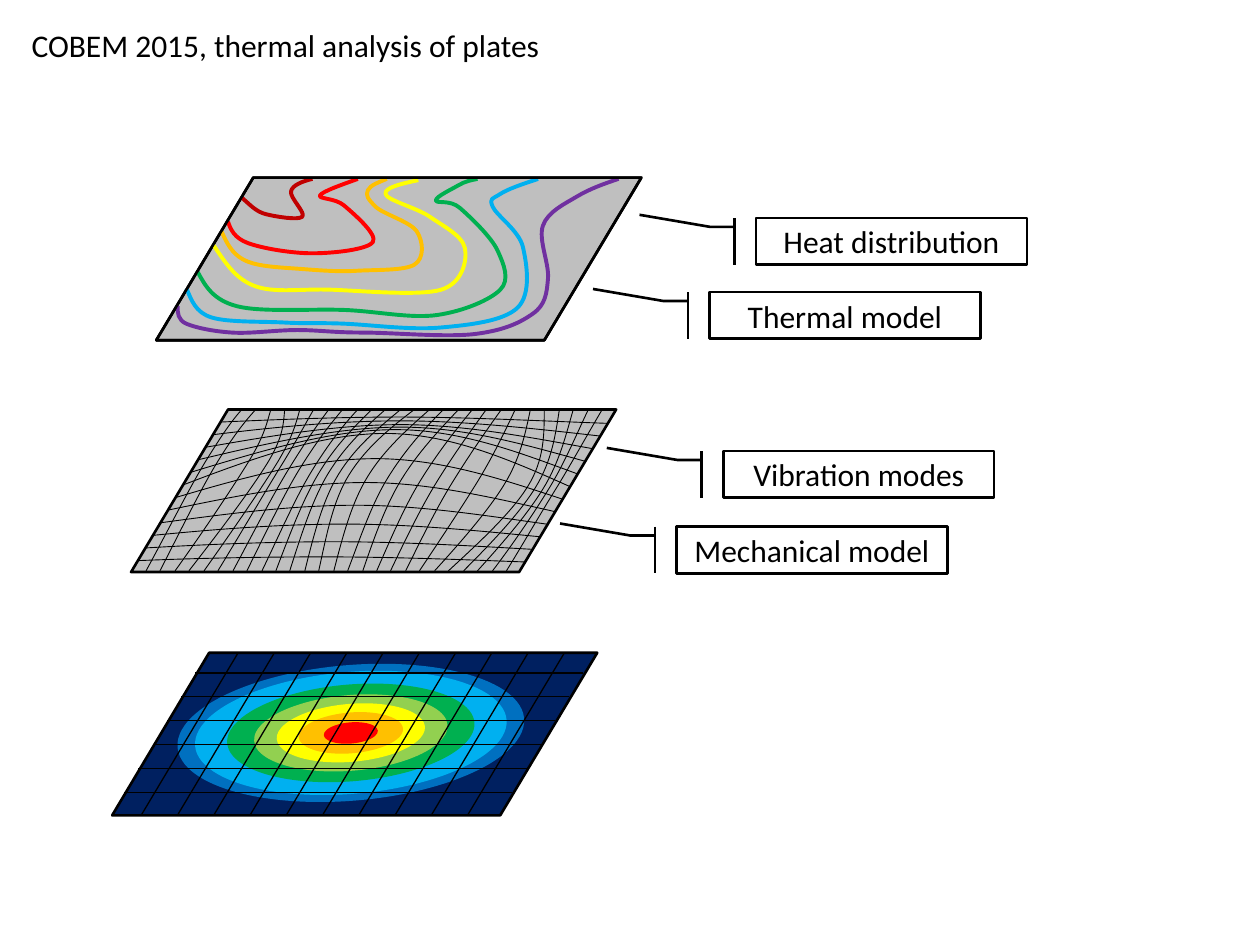
from lxml import etree
from pptx import Presentation
from pptx import util as u
from pptx.dml.color import RGBColor
from pptx.enum import shapes, text
from pptx.oxml.ns import qn

THEME = {
    "font": "Calibri", "size": 18, "ink": "000000", "plate": "BFBFBF", "cold": "002060",
    "outline": 1.5, "contour": 2.25, "grid": 0.75, "mesh": 0.5,
}
PLATE_W, PLATE_H, SLANT = 277.2, 92.9, 55.4
CURVE_UNIT = u.Pt(0.72)  # curve points below are whole multiples of this


def add_part(group, preset, box, fill=None, line=None):
    """Add a preset shape at (left, top, width, height) in points."""
    part = group.shapes.add_shape(preset, *[u.Pt(v) for v in box])
    part.shadow.inherit = False
    if fill:
        part.fill.solid()
        part.fill.fore_color.rgb = RGBColor.from_string(fill)
    else:
        part.fill.background()
    if line:
        part.line.color.rgb = RGBColor.from_string(line)
        part.line.width = u.Pt(THEME["outline"])
    else:
        part.line.fill.background()
    return part


def add_curve(group, points, color, width):
    """Draw a smooth Bezier spline through the points."""
    knots = [(round(x), round(y)) for x, y in points]
    builder = group.shapes.build_freeform(*knots[0], scale=CURVE_UNIT)
    builder.add_line_segments(knots[1:], close=False)
    curve = builder.convert_to_shape()
    curve.shadow.inherit = False
    curve.fill.background()
    curve.line.color.rgb = RGBColor.from_string(color)
    curve.line.width = u.Pt(width)

    # A handle is a sixth of the way between neighbours; end handles are halfway points
    left, top = (min(axis) for axis in zip(*knots))
    handles = [((c[0] - a[0]) / 6, (c[1] - a[1]) / 6) for a, c in zip(knots, knots[2:])]
    before = [(x - dx, y - dy) for (x, y), (dx, dy) in zip(knots[1:], handles)]
    after = [(x + dx, y + dy) for (x, y), (dx, dy) in zip(knots[1:], handles)]
    first = [(a + b) / 2 for a, b in zip(knots[0], before[0])]
    last = [(a + b) / 2 for a, b in zip(knots[-1], after[-1])]
    outline = curve._element.xpath(".//a:path")[0]
    segments = zip(outline.findall(qn("a:lnTo")), [first] + after, before + [last], knots[1:])
    for straight, *triple in segments:
        bezier = etree.SubElement(outline, qn("a:cubicBezTo"))
        for x, y in triple:
            etree.SubElement(bezier, qn("a:pt"), x=str(round(x - left)), y=str(round(y - top)))
        outline.replace(straight, bezier)


deck = Presentation()
deck.slide_width, deck.slide_height = u.Pt(720), u.Pt(540)
slide = deck.slides.add_slide(deck.slide_layouts[5])

# Title
title = slide.shapes.title
title.left, title.top, title.width, title.height = [u.Pt(v) for v in (10.8, 11.5, 308.2, 28.8)]
frame = title.text_frame
frame.text = "COBEM 2015, thermal analysis of plates"
frame.word_wrap = False
frame.auto_size = text.MSO_AUTO_SIZE.SHAPE_TO_FIT_TEXT
frame.vertical_anchor = text.MSO_ANCHOR.TOP
frame.paragraphs[0].alignment = text.PP_ALIGN.LEFT

# Mechanical plate with its deformed mesh
mechanical = slide.shapes.add_group_shape()
plate = shapes.MSO_SHAPE.FLOWCHART_DATA
add_part(mechanical, plate, (74.9, 234, PLATE_W, PLATE_H), THEME["plate"], THEME["ink"])

crests = [442, 430, 416, 401, 383, 364, 344, 341, 339, 337, 334, 331]
strands = []
for i, crest in enumerate(crests):
    edge_y = 445 - 10 * i
    edge_x = 104 + (454 - edge_y) * 0.6
    strands.append([(edge_x, edge_y), (min(258 + 8 * i, 318), crest), (edge_x + 307, edge_y + 1)])

# Sideways bow of each column, from left to right
bows = [-4, -6, 7, 11, 7, 0, -4, -6, -7, -12, -16, -19, -22,
        -17, -12, -12, -8, -6, -5, 3, 15, 23, 18, 13, 6, 0]
for i, bow in enumerate(bows):
    top_x, middle_y = 192 + 11.44 * i, 365 + i
    middle_x = top_x - 0.59 * (middle_y - 325) + bow
    strands.append([(top_x, 325), (middle_x, middle_y), (top_x - 76, 453)])
for strand in strands:
    add_curve(mechanical, strand, THEME["ink"], THEME["mesh"])

# Thermal plate with its isotherms
thermal = slide.shapes.add_group_shape()
thermal_box = (89.3, 101.5, PLATE_W, PLATE_H)
add_part(thermal, plate, thermal_box, THEME["plate"], THEME["ink"])
isotherms = {
    "C00000": [(192, 157), (211, 170), (240, 172), (231, 152), (248, 142)],
    "FF0000": [(181, 176), (197, 193), (248, 201), (296, 192), (273, 163), (254, 155),
               (284, 142)],
    "FFFF00": [(169, 194), (202, 227), (264, 230), (350, 230), (369, 197), (341, 172),
               (306, 154), (332, 143)],
    "00B050": [(157, 216), (188, 243), (273, 246), (347, 250), (397, 230), (395, 199),
               (365, 165), (346, 159), (364, 147), (379, 142)],
    "00B0F0": [(148, 229), (168, 252), (226, 256), (275, 257), (349, 260), (411, 244),
               (415, 196), (391, 164), (397, 154), (427, 142)],
    "7030A0": [(141, 243), (148, 257), (184, 264), (236, 262), (288, 264), (378, 265),
               (423, 249), (435, 221), (431, 179), (458, 156), (491, 142)],
    "FFC000": [(176, 184), (193, 206), (232, 213), (282, 215), (329, 210), (331, 184),
               (298, 164), (292, 151), (307, 142)],
}
for color, points in isotherms.items():
    add_curve(thermal, points, color, THEME["contour"])
add_part(thermal, plate, thermal_box, line=THEME["ink"])

# Callouts
callouts = [
    (mechanical, "Mechanical model", 386.6, 301), (mechanical, "Vibration modes", 413.3, 257.8),
    (thermal, "Thermal model", 405.4, 167), (thermal, "Heat distribution", 432, 124.6),
]
frames = [frame]
for group, label, left, top in callouts:
    callout = add_part(group, shapes.MSO_SHAPE.LINE_CALLOUT_2_BORDER_AND_ACCENT_BAR,
                       (left, top, 154.8, 26.6), line=THEME["ink"])
    for i, value in enumerate((0.19, -0.08, 0.19, -0.17, -0.07, -0.43)):
        callout.adjustments[i] = value
    callout.text_frame.text = label
    callout.text_frame.vertical_anchor = text.MSO_ANCHOR.MIDDLE
    callout.text_frame.paragraphs[0].alignment = text.PP_ALIGN.CENTER
    frames.append(callout.text_frame)
for words in frames:
    font = words.paragraphs[0].runs[0].font
    font.name, font.size = THEME["font"], u.Pt(THEME["size"])
    font.color.rgb = RGBColor.from_string(THEME["ink"])

# Temperature plate with concentric bands
result = slide.shapes.add_group_shape()
left, top = 64.1, 373
add_part(result, plate, (left, top, PLATE_W, PLATE_H), THEME["cold"], THEME["ink"])
bands = [("0070C0", 198.7), ("00B0F0", 178.6), ("00B050", 141.8), ("92D050", 110.9),
         ("FFFF00", 85), ("FFC000", 59.8), ("FF0000", 31)]
for color, width in bands:
    height = width * 0.39
    band = add_part(result, shapes.MSO_SHAPE.OVAL,
                    (200.5 - width / 2, 418.8 - height / 2, width, height), color)
    band.rotation = -4.8

# Sheared grid over the bands
grid = [(136.1 + 20.72 * i, top, 136.1 + 20.72 * i - SLANT, top + PLATE_H) for i in range(10)]
for i in range(6):
    x, y = 111.6 - 8.13 * i, 384.5 + 13.68 * i
    grid.append((x + PLATE_W - SLANT, y, x, y))
for ends in grid:
    rule = result.shapes.add_connector(shapes.MSO_CONNECTOR.STRAIGHT, *[u.Pt(v) for v in ends])
    rule.line.color.rgb = RGBColor.from_string(THEME["ink"])
    rule.line.width = u.Pt(THEME["grid"])
    etree.SubElement(rule._element.spPr, qn("a:effectLst"))

deck.save("out.pptx")
